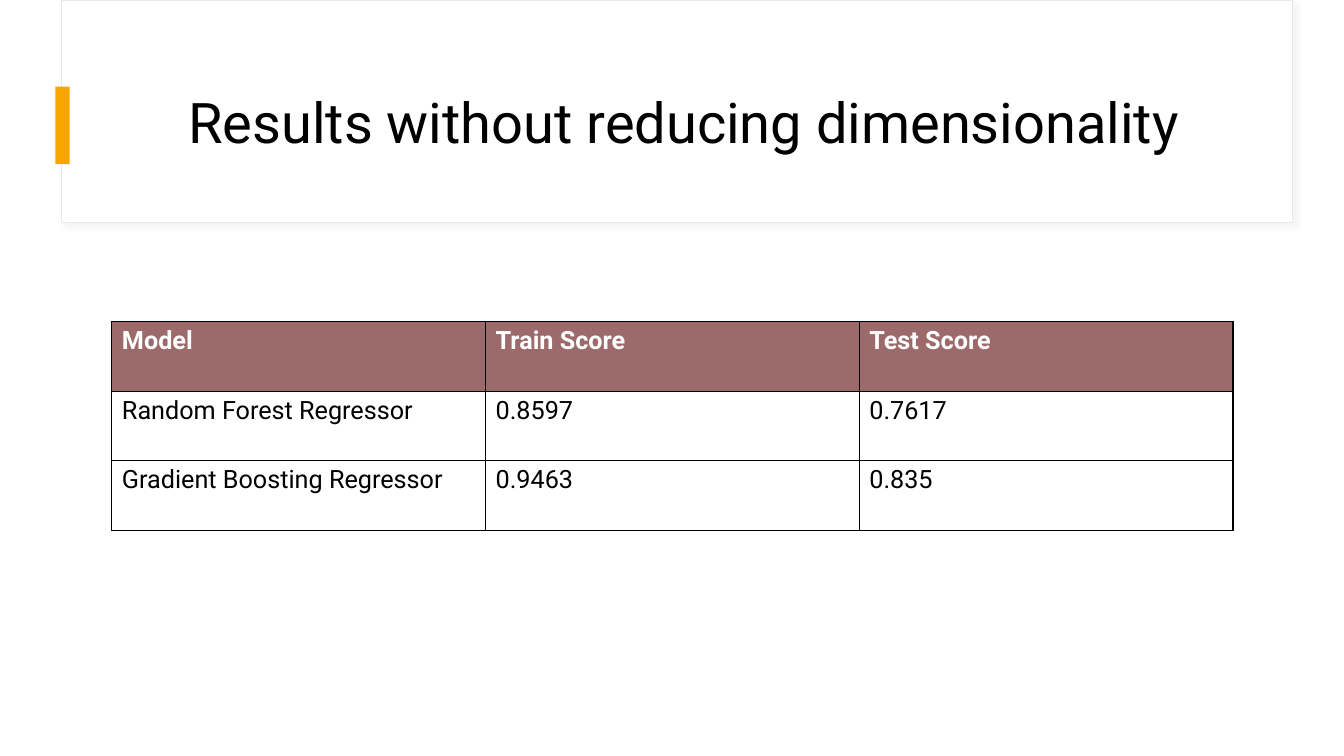
from dataclasses import dataclass

from lxml.etree import SubElement
from pptx import Presentation
from pptx.dml.color import RGBColor
from pptx.enum.shapes import MSO_SHAPE as Preset
from pptx.enum.text import MSO_ANCHOR as Anchor, PP_ALIGN as Align
from pptx.oxml import parse_xml
from pptx.oxml.ns import nsdecls, qn
from pptx.util import Inches, Pt


@dataclass(frozen=True)
class Theme:
    """Colours, font and type sizes of the slide."""
    font: str = "Roboto"
    title_size: int = 40
    table_size: int = 18
    paper: str = "FFFFFF"
    ink: str = "000000"
    outline: str = "E9E9E9"
    shadow: str = "D9D9D9"
    accent: str = "F5A700"
    header: str = "9C6A6A"


THEME = Theme()
SCORES = [
    ("Model", "Train Score", "Test Score"),
    ("Random Forest Regressor", "0.8597", "0.7617"),
    ("Gradient Boosting Regressor", "0.9463", "0.835"),
]


def style_font(paragraph, size, color, bold=False):
    """Set the font of a whole paragraph."""
    font = paragraph.font
    font.name, font.size, font.bold = THEME.font, Pt(size), bold
    font.color.rgb = RGBColor.from_string(color)


def add_panel(slide, left, top, width, height, fill):
    """Add a plain filled rectangle without outline or shadow."""
    panel = slide.shapes.add_shape(
        Preset.RECTANGLE, Inches(left), Inches(top), Inches(width), Inches(height))
    panel.shadow.inherit = False
    panel.fill.solid()
    panel.fill.fore_color.rgb = RGBColor.from_string(fill)
    panel.line.fill.background()
    return panel


def add_soft_shadow(shape):
    """Give a shape a faint shadow to the lower right."""
    effects = shape._element.spPr.find(qn("a:effectLst"))
    effects.append(parse_xml(
        f'<a:outerShdw {nsdecls("a")} blurRad="{Pt(4)}" dist="{Pt(3)}" '
        f'dir="2700000" algn="tl" rotWithShape="0"><a:srgbClr val="{THEME.shadow}">'
        '<a:alpha val="30000"/></a:srgbClr></a:outerShdw>'))


def add_title_band(slide, left, top, width, height, title):
    """Draw the framed band with its accent bar and centred title."""
    frame = add_panel(slide, left, top, width, height, THEME.paper)
    frame.line.color.rgb = RGBColor.from_string(THEME.outline)
    frame.line.width = Pt(0.75)
    add_soft_shadow(frame)
    add_panel(slide, left - 0.06, top + 0.86, 0.14, 0.77, THEME.accent)

    box = slide.shapes.add_textbox(
        Inches(left + 0.61), Inches(top + 0.6), Inches(width - 1.09), Inches(1.29))
    text_frame = box.text_frame
    text_frame.word_wrap = True
    text_frame.vertical_anchor = Anchor.MIDDLE
    paragraph = text_frame.paragraphs[0]
    paragraph.text = title
    paragraph.alignment = Align.CENTER
    paragraph.line_spacing = 0.9
    style_font(paragraph, THEME.title_size, THEME.ink)


def add_cell_borders(cell):
    """Outline a cell on all four sides, ahead of its fill."""
    properties = cell._tc.get_or_add_tcPr()
    for position, side in enumerate(("lnL", "lnR", "lnT", "lnB")):
        border = SubElement(properties, qn(f"a:{side}"), w=str(Pt(1)))
        fill = SubElement(border, qn("a:solidFill"))
        SubElement(fill, qn("a:srgbClr"), val=THEME.ink)
        properties.insert(position, border)


def add_score_table(slide, left, top, width, height, rows):
    """Draw the score table with a coloured header row."""
    table = slide.shapes.add_table(
        len(rows), len(rows[0]),
        Inches(left), Inches(top), Inches(width), Inches(height)).table
    table.horz_banding = False
    for row_index, row in enumerate(rows):
        is_header = row_index == 0
        for column_index, text in enumerate(row):
            cell = table.cell(row_index, column_index)
            cell.text = text
            style_font(cell.text_frame.paragraphs[0], THEME.table_size,
                       THEME.paper if is_header else THEME.ink, is_header)
            if is_header:
                cell.fill.solid()
                cell.fill.fore_color.rgb = RGBColor.from_string(THEME.header)
            else:
                cell.fill.background()
            add_cell_borders(cell)


def main():
    """Build the results slide and save it."""
    presentation = Presentation()
    presentation.slide_width = Inches(13.33)
    presentation.slide_height = Inches(7.5)
    slide = presentation.slides.add_slide(presentation.slide_layouts[6])
    add_title_band(slide, 0.61, 0, 12.21, 2.21, "Results without reducing dimensionality")
    add_score_table(slide, 1.11, 3.19, 11.12, 2.07, SCORES)
    presentation.save("out.pptx")


if __name__ == "__main__":
    main()
